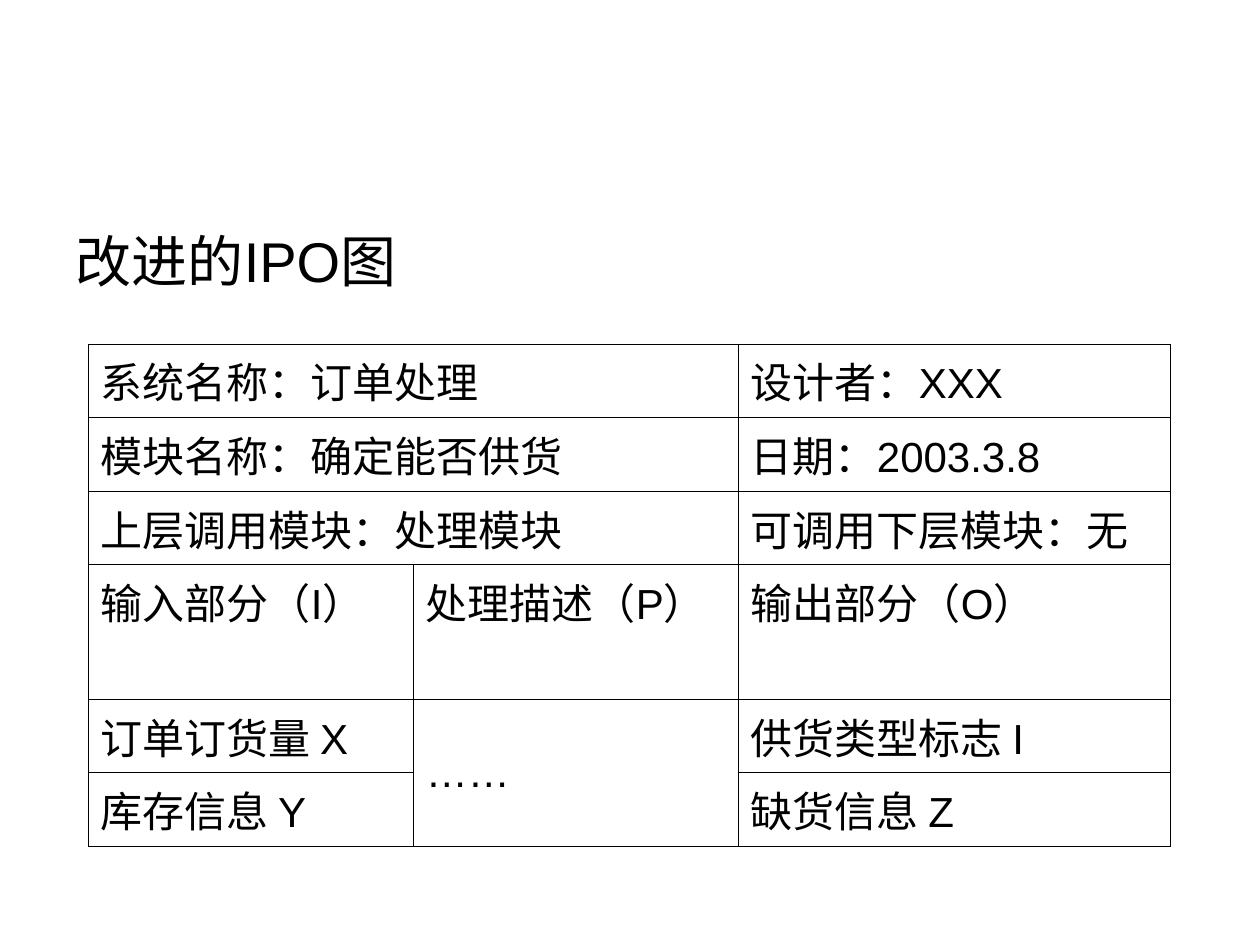
from lxml import etree
from pptx import Presentation
from pptx.dml import color
from pptx.enum import text
from pptx.oxml import ns
from pptx.util import Inches, Pt


def paint(code):
    return color.RGBColor.from_string(code)


class Deck:
    """Holds the style and the current slide."""

    font = "Arial"
    ink = "000000"
    edge = 0.45

    def __init__(self, wide, high):
        self.prs = Presentation()
        self.prs.slide_width = Inches(wide)
        self.prs.slide_height = Inches(high)
        self.slide = self.prs.slides.add_slide(self.prs.slide_layouts[5])

    def label(self, para, words, size, hang):
        props = para._p.get_or_add_pPr()
        props.set("marL", str(Inches(hang)))
        props.set("indent", str(-Inches(hang)))
        tabs = etree.SubElement(props, ns.qn("a:tabLst"))
        for stop in range(8):
            etree.SubElement(tabs, ns.qn("a:tab"), pos=str(Inches(stop)), algn="l")
        para.alignment = text.PP_ALIGN.LEFT
        run = para.add_run()
        run.text = words
        run.font.size = Pt(size)
        run.font.name = self.font
        run.font.color.rgb = paint(self.ink)

    def title(self, words, left, top, width, height):
        box = self.slide.shapes.title
        box.left, box.top = Inches(left), Inches(top)
        box.width, box.height = Inches(width), Inches(height)
        frame = box.text_frame
        frame.word_wrap = True
        frame.auto_size = text.MSO_AUTO_SIZE.NONE
        frame.vertical_anchor = text.MSO_ANCHOR.TOP
        self.label(frame.paragraphs[0], words, 32, 0.38)

    def border(self, cell):
        cell.fill.background()
        props = cell._tc.get_or_add_tcPr()
        for spot, side in enumerate(("lnL", "lnR", "lnT", "lnB")):
            line = etree.Element(ns.qn("a:" + side), w=str(Pt(self.edge)))
            fill = etree.SubElement(line, ns.qn("a:solidFill"))
            etree.SubElement(fill, ns.qn("a:srgbClr"), val=self.ink)
            props.insert(spot, line)

    def table(self, rows, cols, spans, left, top, high):
        frame = self.slide.shapes.add_table(
            len(rows), len(cols), Inches(left), Inches(top),
            Inches(sum(cols)), Inches(high * len(rows)))
        grid = frame.table
        grid.first_row = grid.horz_banding = False
        for col, width in zip(grid.columns, cols):
            col.width = Inches(width)
        for row in grid.rows:
            row.height = Inches(high)
        for start, end in spans:
            grid.cell(*start).merge(grid.cell(*end))
        for r, row in enumerate(rows):
            for c, words in enumerate(row):
                cell = grid.cell(r, c)
                self.border(cell)
                if words:
                    self.label(cell.text_frame.paragraphs[0], words, 24, 0.5)
        return grid


def main():
    deck = Deck(10, 7.5)
    deck.title("改进的IPO图", 0.5, 1.75, 9, 4.95)
    rows = [
        ("系统名称：订单处理", None, "设计者：XXX"),
        ("模块名称：确定能否供货", None, "日期：2003.3.8"),
        ("上层调用模块：处理模块", None, "可调用下层模块：无"),
        ("输入部分（I）", "处理描述（P）", "输出部分（O）"),
        ("订单订货量 X", "……", "供货类型标志 I"),
        ("库存信息 Y", None, "缺货信息 Z"),
    ]
    spans = [((r, 0), (r, 1)) for r in range(3)] + [((4, 1), (5, 1))]
    grid = deck.table(rows, (2.58, 2.58, 3.43), spans, 0.7, 2.73, 0.57)
    grid.cell(4, 1).vertical_anchor = text.MSO_ANCHOR.MIDDLE
    deck.prs.save("out.pptx")


if __name__ == "__main__":
    main()
